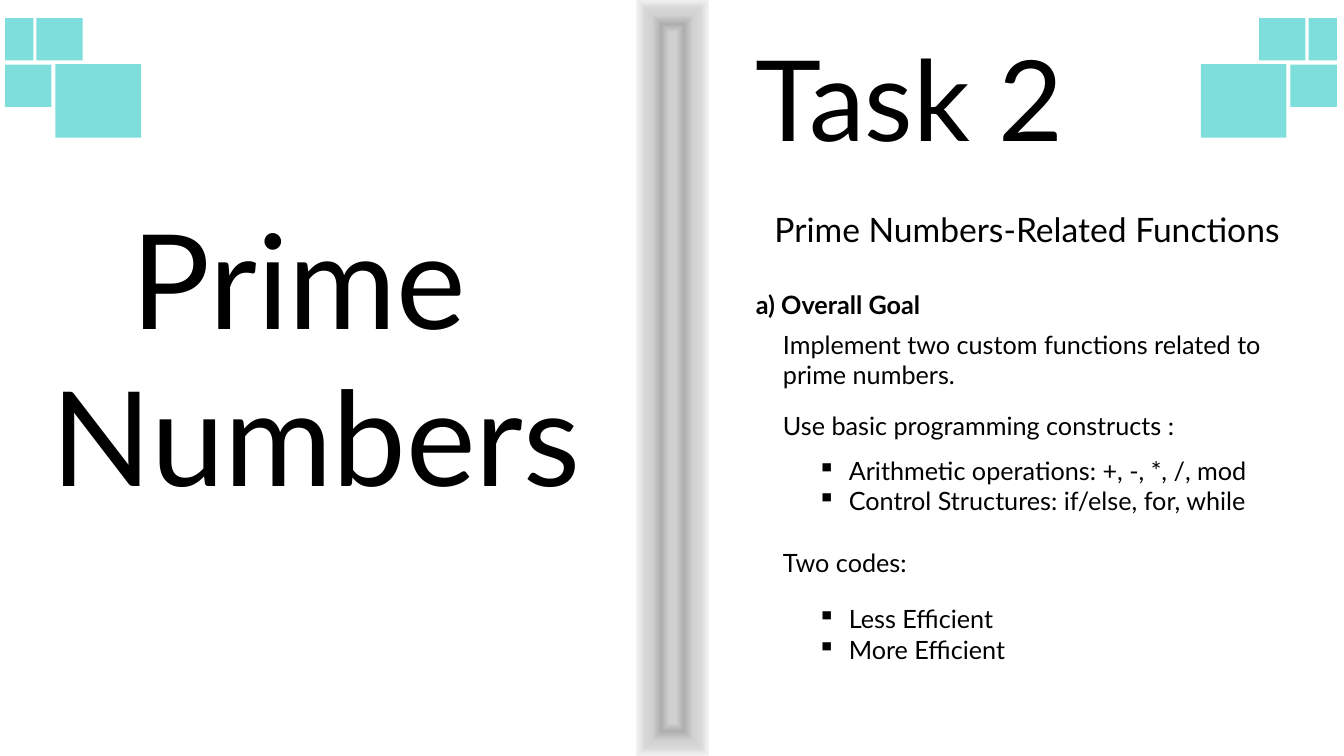
from dataclasses import dataclass

from lxml import etree
from pptx import Presentation
from pptx import util as u
from pptx.dml.color import RGBColor
from pptx.enum import shapes, text
from pptx.oxml import ns

TEAL = RGBColor(0x7D, 0xDE, 0xDC)
GREY = RGBColor(0xD1, 0xD1, 0xD1)
BLACK = RGBColor(0, 0, 0)
FONT = "Lato"
MIRROR_WIDTH = 958.5
BULLET_INDENT = 22.5


@dataclass
class Tile:
    left: float
    top: float
    width: float
    height: float


@dataclass
class Label:
    left: float
    top: float
    width: float
    height: float
    lines: list[str]
    size: float = 18
    bold: bool = False
    centred: bool = False
    bulleted: bool = False


TILES = [
    Tile(39.6, 45.8, 61.2, 52.6),
    Tile(26, 13, 33.1, 30.2),
    Tile(3.6, 46.1, 33.1, 30.2),
    Tile(3.6, 13, 20.2, 30.2),
]

LABELS = [
    Label(532.8, 17.3, 313.2, 104.4, ["Task 2"], size=80),
    Label(512.6, 145.4, 442, 36, ["Prime Numbers-Related Functions"], size=24, centred=True),
    Label(532.8, 203, 420.5, 29, ["a) Overall Goal"], bold=True),
    Label(552.2, 231.8, 402.5, 51, ["Implement two custom functions related to prime numbers."]),
    Label(552.2, 289.4, 402.5, 29, ["Use basic programming constructs :"]),
    Label(576.7, 321.8, 402.5, 51,
          ["Arithmetic operations: +, -, *, /, mod", "Control Structures: if/else, for, while"],
          bulleted=True),
    Label(552.2, 387.4, 402.5, 29, ["Two codes:"]),
    Label(576.7, 427.7, 402.5, 51, ["Less Efficient", "More Efficient"], bulleted=True),
    Label(0, 137.5, 451.4, 234.7, ["Prime ", "Numbers"], size=94, centred=True),
]

# Position, colour and opacity in percent, from the middle outwards
SPINE_STOPS = [(9, "D1D1D1", 100), (31, "AEAEAE", 100), (55, "D1D1D1", 100),
               (77, "D9D9D9", 100), (100, "F2F2F2", 75)]


def add_block(parent, tile: Tile, colour: RGBColor):
    block = parent.add_shape(shapes.MSO_SHAPE.RECTANGLE, u.Pt(tile.left), u.Pt(tile.top),
                             u.Pt(tile.width), u.Pt(tile.height))
    block.shadow.inherit = False
    block.fill.solid()
    block.fill.fore_color.rgb = colour
    block.line.fill.background()
    return block


def add_corner(page, mirrored: bool) -> None:
    group = page.shapes.add_group_shape()
    for tile in TILES:
        left = MIRROR_WIDTH - tile.left - tile.width if mirrored else tile.left
        add_block(group.shapes, Tile(left, tile.top, tile.width, tile.height), TEAL)


def add_spine(page) -> None:
    spine = add_block(page.shapes, Tile(454.3, 0, 51.8, 540), GREY)
    gradient = etree.Element(ns.qn("a:gradFill"), rotWithShape="1")
    stops = etree.SubElement(gradient, ns.qn("a:gsLst"))
    for position, colour, opacity in SPINE_STOPS:
        stop = etree.SubElement(stops, ns.qn("a:gs"), pos=str(position * 1000))
        shade = etree.SubElement(stop, ns.qn("a:srgbClr"), val=colour)
        if opacity < 100:
            etree.SubElement(shade, ns.qn("a:alpha"), val=str(opacity * 1000))
    route = etree.SubElement(gradient, ns.qn("a:path"), path="shape")
    etree.SubElement(route, ns.qn("a:fillToRect"), l="50000", t="50000", r="50000", b="50000")
    solid = spine.element.spPr.find(ns.qn("a:solidFill"))
    solid.getparent().replace(solid, gradient)


def add_bullet(para) -> None:
    properties = para._p.get_or_add_pPr()
    properties.set("marL", str(u.Pt(BULLET_INDENT)))
    properties.set("indent", str(-u.Pt(BULLET_INDENT)))
    etree.SubElement(properties, ns.qn("a:buChar"), char="▪")


def add_label(page, label: Label) -> None:
    box = page.shapes.add_textbox(u.Pt(label.left), u.Pt(label.top),
                                  u.Pt(label.width), u.Pt(label.height))
    frame = box.text_frame
    frame.word_wrap = True
    frame.auto_size = text.MSO_AUTO_SIZE.SHAPE_TO_FIT_TEXT
    frame.text = "\n".join(label.lines)
    for para in frame.paragraphs:
        if label.bulleted:
            add_bullet(para)
        para.alignment = text.PP_ALIGN.CENTER if label.centred else text.PP_ALIGN.LEFT
        para.font.name = FONT
        para.font.size = u.Pt(label.size)
        para.font.bold = label.bold
        para.font.color.rgb = BLACK


def main() -> None:
    deck = Presentation()
    deck.slide_width, deck.slide_height = u.Pt(960), u.Pt(540)
    page = deck.slides.add_slide(deck.slide_layouts[6])

    # Corner tiles, the right set mirroring the left
    for mirrored in (False, True):
        add_corner(page, mirrored)

    # Spine between the two halves
    add_spine(page)

    # Headings and notes
    for label in LABELS:
        add_label(page, label)

    deck.save("out.pptx")


if __name__ == "__main__":
    main()
